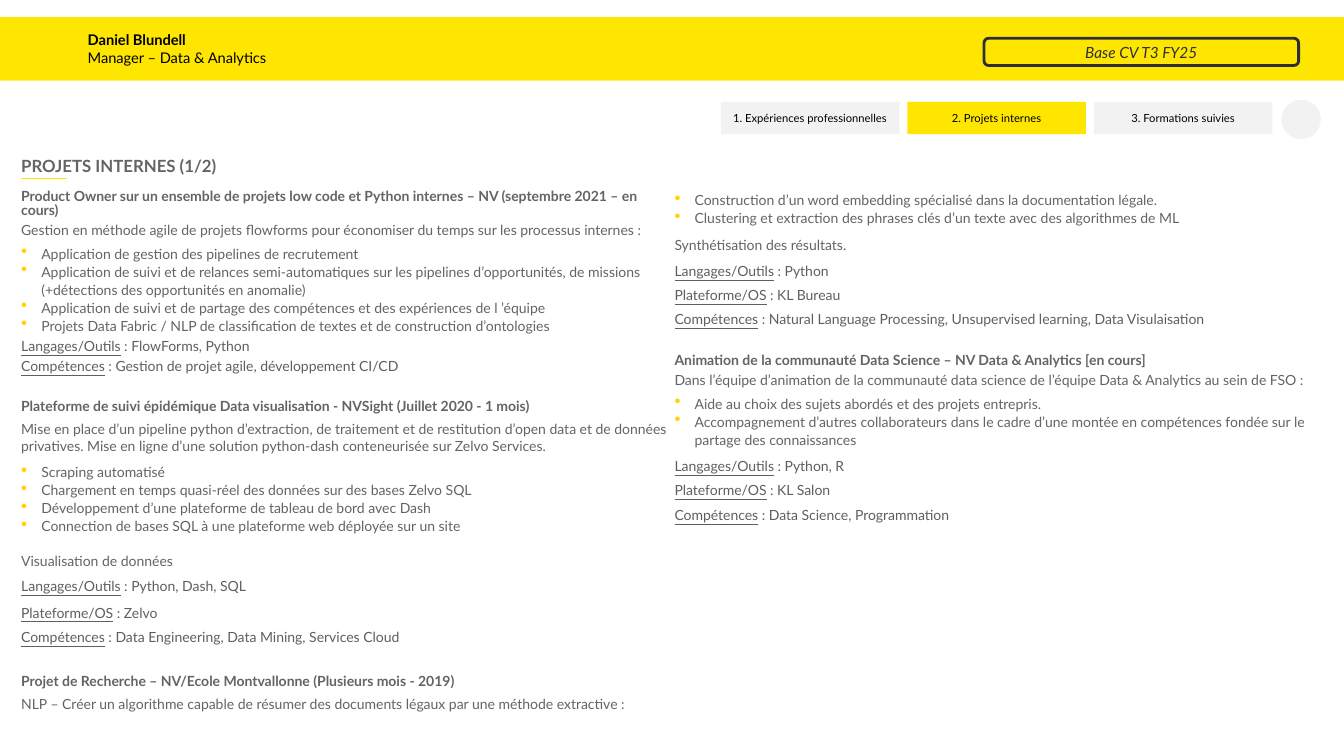
import lxml.etree
import pptx
import pptx.dml.color
import pptx.enum.shapes
import pptx.enum.text
import pptx.oxml.ns
import pptx.util

Inches = pptx.util.Inches
Pt = pptx.util.Pt
SHAPES = pptx.enum.shapes.MSO_SHAPE
ALIGN = pptx.enum.text.PP_ALIGN
MIDDLE = pptx.enum.text.MSO_ANCHOR.MIDDLE
YELLOW, GREY, INK, BLACK, DARK = "FFE600", "F2F2F2", "646464", "000000", "2E2E38"
LABEL_INK, BULLET = "5F5E62", "FFD200"

TIGHT = {"line_spacing": Pt(9.8), "space_after": Pt(4.5)}
OPEN = {"line_spacing": 1.0, "space_after": Pt(6)}
LOOSE = {"line_spacing": 1.07, "space_after": Pt(4.5)}
ITEM = {"line_spacing": 1.07, "space_after": Pt(0)}
STYLES = {
    "heading": TIGHT, "tight": TIGHT, "open": OPEN, "bullet": ITEM,
    "summary": {**LOOSE, "space_after": Pt(6)},
    "tight label": TIGHT, "open label": OPEN, "loose label": LOOSE,
}
END_TIGHT, END_OPEN = {"space_after": Pt(4.5)}, {"space_after": Pt(6)}

PROJECTS = [
    ("heading", "Product Owner sur un ensemble de projets low code et Python internes – NV (septembre 2021 – en cours)", {}),
    ("tight", "Gestion en méthode agile de projets flowforms pour économiser du temps sur les processus internes :", {}),
    ("bullet", "Application de gestion des pipelines de recrutement", {}),
    ("bullet", "Application de suivi et de relances semi-automatiques sur les pipelines d’opportunités, de missions (+détections des opportunités en anomalie)", {}),
    ("bullet", "Application de suivi et de partage des compétences et des expériences de l ’équipe", {}),
    ("bullet", "Projets Data Fabric / NLP de classification de textes et de construction d’ontologies", END_TIGHT),
    ("tight label", "Langages/Outils : FlowForms, Python", {}),
    ("tight label", "Compétences : Gestion de projet agile, développement CI/CD", {}),
    ("heading", "Plateforme de suivi épidémique Data visualisation - NVSight (Juillet 2020 - 1 mois)", {"space_before": Pt(14.3)}),
    ("open", "Mise en place d’un pipeline python d’extraction, de traitement et de restitution d’open data et de données privatives. Mise en ligne d’une solution python-dash conteneurisée sur Zelvo Services.", {}),
    ("bullet", "Scraping automatisé", {}),
    ("bullet", "Chargement en temps quasi-réel des données sur des bases Zelvo SQL", {}),
    ("bullet", "Développement d’une plateforme de tableau de bord avec Dash", {}),
    ("bullet", "Connection de bases SQL à une plateforme web déployée sur un site", {}),
    ("open", "Visualisation de données", {"space_before": Pt(12.8)}),
    ("open label", "Langages/Outils : Python, Dash, SQL", {}),
    ("loose label", "Plateforme/OS : Zelvo", {}),
    ("loose label", "Compétences : Data Engineering, Data Mining, Services Cloud", {}),
    ("heading", "Projet de Recherche – NV/Ecole Montvallonne (Plusieurs mois - 2019)", {"space_before": Pt(17.3)}),
    ("open", "NLP – Créer un algorithme capable de résumer des documents légaux par une méthode extractive :", {}),
    ("bullet", "Construction d’un word embedding spécialisé dans la documentation légale.", {}),
    ("bullet", "Clustering et extraction des phrases clés d’un texte avec des algorithmes de ML", END_OPEN),
    ("summary", "Synthétisation des résultats.", {}),
    ("loose label", "Langages/Outils : Python", {}),
    ("loose label", "Plateforme/OS : KL Bureau", {}),
    ("loose label", "Compétences : Natural Language Processing, Unsupervised learning, Data Visulaisation", {}),
    ("heading", "Animation de la communauté Data Science – NV Data & Analytics [en cours]", {"space_before": Pt(14.3)}),
    ("tight", "Dans l’équipe d’animation de la communauté data science de l’équipe Data & Analytics au sein de FSO :", {}),
    ("bullet", "Aide au choix des sujets abordés et des projets entrepris.", {}),
    ("bullet", "Accompagnement d’autres collaborateurs dans le cadre d’une montée en compétences fondée sur le partage des connaissances", END_OPEN),
    ("loose label", "Langages/Outils : Python, R", {}),
    ("loose label", "Plateforme/OS : KL Salon", {}),
    ("loose label", "Compétences : Data Science, Programmation", {}),
]


def rgb(value):
    """Return the colour for a hex string."""
    return pptx.dml.color.RGBColor.from_string(value)


def apply(target, formats):
    """Set each attribute of target from a dict."""
    for attribute, value in formats.items():
        setattr(target, attribute, value)


def add_run(paragraph, text, size, colour, **formats):
    """Add a formatted run to a paragraph."""
    run = paragraph.add_run()
    run.text = text
    apply(run.font, {"name": "Lato", "size": Pt(size), **formats})
    run.font.color.rgb = rgb(colour)


def set_frame(frame, insets=(0, 0, 0, 0), **formats):
    """Set wrapping and insets of a text frame."""
    sides = ("margin_left", "margin_top", "margin_right", "margin_bottom")
    margins = {side: Inches(inset) for side, inset in zip(sides, insets)}
    apply(frame, {"word_wrap": True, **margins, **formats})


def next_paragraph(frame):
    """Return the unused first paragraph or a new one."""
    first = frame.paragraphs[0]
    return frame.add_paragraph() if first.runs else first


def add_box(slide, place, fill=None, kind=SHAPES.RECTANGLE):
    """Add a flat preset shape without an outline."""
    box = slide.shapes.add_shape(kind, *map(Inches, place))
    box.shadow.inherit = False
    box.line.fill.background()
    if fill:
        box.fill.solid()
        box.fill.fore_color.rgb = rgb(fill)
    else:
        box.fill.background()
    return box


def add_caption(box, text, size, colour, **formats):
    """Centre one line of text in a shape."""
    set_frame(box.text_frame, (0, 0.04, 0, 0.04), vertical_anchor=MIDDLE)
    caption = box.text_frame.paragraphs[0]
    caption.alignment = ALIGN.CENTER
    add_run(caption, text, size, colour, **formats)


def add_bullet(paragraph):
    """Give a paragraph a hanging yellow bullet."""
    properties = paragraph._p.get_or_add_pPr()
    properties.set("marL", str(Inches(0.2)))
    properties.set("indent", str(-Inches(0.2)))
    qn = pptx.oxml.ns.qn
    colour = lxml.etree.SubElement(properties, qn("a:buClr"))
    lxml.etree.SubElement(colour, qn("a:srgbClr"), val=BULLET)
    lxml.etree.SubElement(properties, qn("a:buSzPct"), val="125000")
    lxml.etree.SubElement(properties, qn("a:buChar"), char="•")


def add_projects(slide):
    """Add the project descriptions in two text columns."""
    frame = slide.shapes.add_textbox(*map(Inches, (0.21, 1.89, 12.88, 5.4))).text_frame
    set_frame(frame)
    columns = frame._txBody.bodyPr
    columns.set("numCol", "2")
    columns.set("spcCol", str(Inches(0.08)))
    for style, text, spacing in PROJECTS:
        entry = next_paragraph(frame)
        apply(entry, {**STYLES[style], **spacing})
        if style == "bullet":
            add_bullet(entry)
        if style.endswith("label"):
            label, separator, details = text.partition(" : ")
            add_run(entry, label, 10, LABEL_INK, underline=True)
            add_run(entry, separator + details, 10, LABEL_INK)
        else:
            add_run(entry, text, 10, INK, bold=style == "heading")


def add_section_title(slide):
    """Add the section title and its short rule."""
    rule = slide.shapes.add_connector(
        pptx.enum.shapes.MSO_CONNECTOR.STRAIGHT, *map(Inches, (0.66, 1.77, 0.21, 1.77)))
    rule.line.color.rgb = rgb(YELLOW)
    rule.line.width = Pt(1)
    lxml.etree.SubElement(rule._element.spPr, pptx.oxml.ns.qn("a:effectLst"))
    frame = slide.shapes.add_textbox(*map(Inches, (0.21, 1.52, 7.35, 0.26))).text_frame
    set_frame(frame, vertical_anchor=MIDDLE)
    title = frame.paragraphs[0]
    title.space_after = Pt(6)
    add_run(title, "PROJETS INTERNES (1/2)", 12, INK, bold=True)


def add_header(slide):
    """Add the yellow banner with name, role and badge."""
    banner = add_box(slide, (0, 0.17, 13.33, 0.63), YELLOW)
    set_frame(banner.text_frame, (0.87, 0.04, 0.09, 0.04), vertical_anchor=MIDDLE)
    for text, bold in (("Daniel Blundell", True), ("Manager – Data & Analytics", False)):
        line = next_paragraph(banner.text_frame)
        line.alignment = ALIGN.LEFT
        add_run(line, text, 10.5, BLACK, bold=bold)
    badge = add_box(slide, (9.76, 0.38, 3.12, 0.27), kind=SHAPES.ROUNDED_RECTANGLE)
    badge.line.color.rgb = rgb(DARK)
    badge.line.width = Pt(2)
    add_caption(badge, "Base CV T3 FY25", 11, DARK, italic=True)


def add_navigation(slide):
    """Add the section tabs and the closing dot."""
    sections = ("1. Expériences professionnelles", "2. Projets internes", "3. Formations suivies")
    for index, section in enumerate(sections):
        fill = YELLOW if index == 1 else GREY
        tab = add_box(slide, (7.15 + 1.85 * index, 1.01, 1.77, 0.32), fill)
        add_caption(tab, section, 8, BLACK)
    add_box(slide, (12.71, 0.99, 0.39, 0.39), GREY, SHAPES.OVAL)


def main():
    """Build and save the slide."""
    deck = pptx.Presentation()
    deck.slide_width, deck.slide_height = Inches(13.33), Inches(7.5)
    slide = deck.slides.add_slide(deck.slide_layouts[6])
    add_projects(slide)
    add_header(slide)
    add_navigation(slide)
    add_section_title(slide)
    deck.save("out.pptx")


if __name__ == "__main__":
    main()
